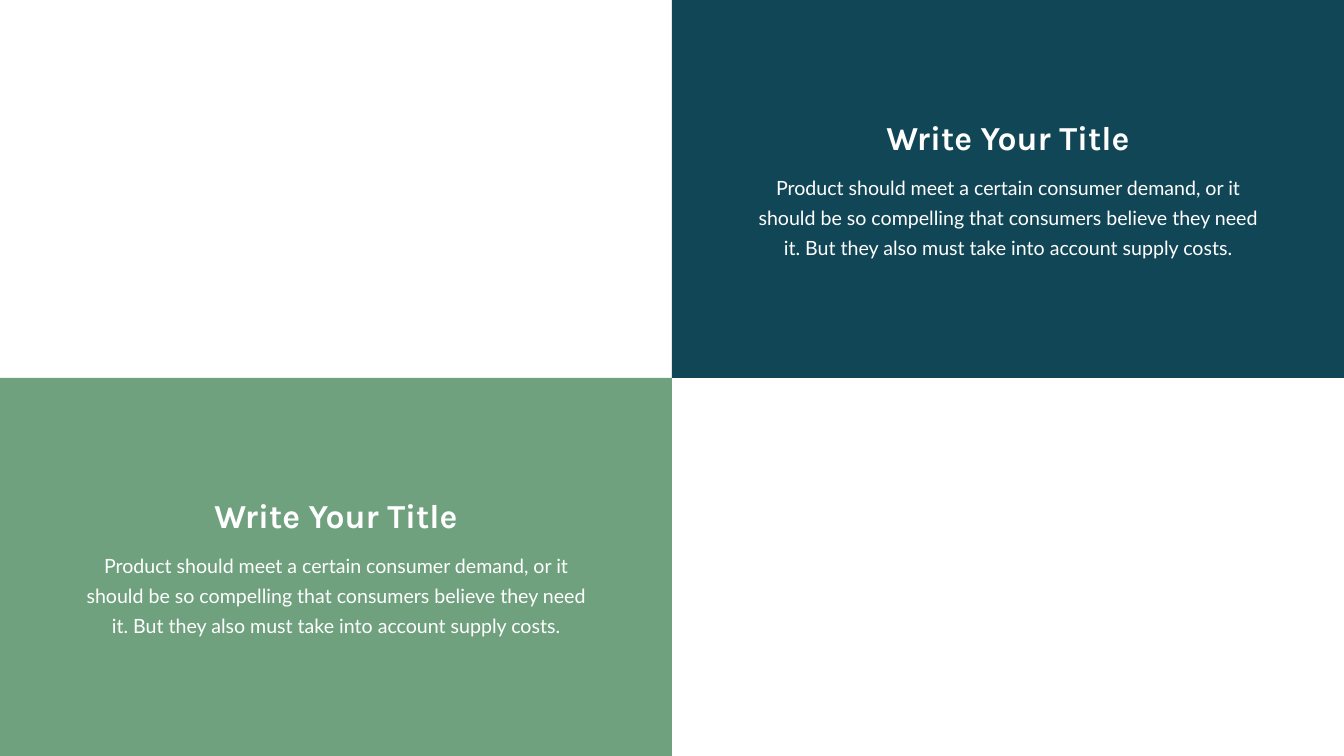
from dataclasses import dataclass

from pptx import Presentation
from pptx.dml.color import RGBColor as RGB
from pptx.enum.shapes import MSO_SHAPE as Shape
from pptx.enum.text import MSO_AUTO_SIZE as Fit, PP_ALIGN as Align
from pptx.util import Inches, Pt


@dataclass(frozen=True)
class Theme:
    """Colours, fonts and type sizes of the slide."""
    green: RGB = RGB(0x70, 0xA1, 0x7F)
    teal: RGB = RGB(0x11, 0x46, 0x56)
    white: RGB = RGB(0xFF, 0xFF, 0xFF)
    head_font: str = "Karla"
    body_font: str = "Lato"
    head_size: int = 48
    body_size: int = 28
    body_line: int = 43


THEME = Theme()
WIDTH, HEIGHT = 26.66, 15
HALF_W, HALF_H = WIDTH / 2, HEIGHT / 2
TITLE = "Write Your Title"
BODY = ("Product should meet a certain consumer demand, or it should be so "
        "compelling that consumers believe they need it. But they also must "
        "take into account supply costs.")


def add_text(slide, box, text, font, size, inset=(0.1, 0.05), bold=False, line=None):
    """Place one centred white paragraph in the box."""
    frame = slide.shapes.add_textbox(*map(Inches, box)).text_frame
    frame.word_wrap = True
    frame.auto_size = Fit.SHAPE_TO_FIT_TEXT
    frame.margin_left = frame.margin_right = Inches(inset[0])
    frame.margin_top = frame.margin_bottom = Inches(inset[1])
    frame.text = text
    para = frame.paragraphs[0]
    para.alignment = Align.CENTER
    if line:
        para.line_spacing = Pt(line)
    style = para.runs[0].font
    style.name, style.size, style.bold = font, Pt(size), bold
    style.color.rgb = THEME.white


def add_panel(slide, box, color):
    """Fill the box with a colour and set its title and body text."""
    left, top, width, _ = box
    panel = slide.shapes.add_shape(Shape.RECTANGLE, *map(Inches, box))
    panel.shadow.inherit = False
    panel.fill.solid()
    panel.fill.fore_color.rgb = color
    panel.line.fill.background()

    body_w, title_w = 10.58, 5.72
    add_text(slide, (left + (width - body_w) / 2, top + 3.24, body_w, 1.98), BODY,
             THEME.body_font, THEME.body_size, inset=(0.24, 0.12), line=THEME.body_line)
    add_text(slide, (left + (width - title_w) / 2, top + 2.28, title_w, 0.91), TITLE,
             THEME.head_font, THEME.head_size, bold=True)


def main():
    """Build the slide with its two diagonal panels."""
    deck = Presentation()
    deck.slide_width, deck.slide_height = Inches(WIDTH), Inches(HEIGHT)
    slide = deck.slides.add_slide(deck.slide_layouts[6])
    slide.background.fill.solid()
    slide.background.fill.fore_color.rgb = THEME.white
    add_panel(slide, (0, HALF_H, HALF_W, HALF_H), THEME.green)
    add_panel(slide, (HALF_W, 0, HALF_W, HALF_H), THEME.teal)
    deck.save("out.pptx")


if __name__ == "__main__":
    main()
